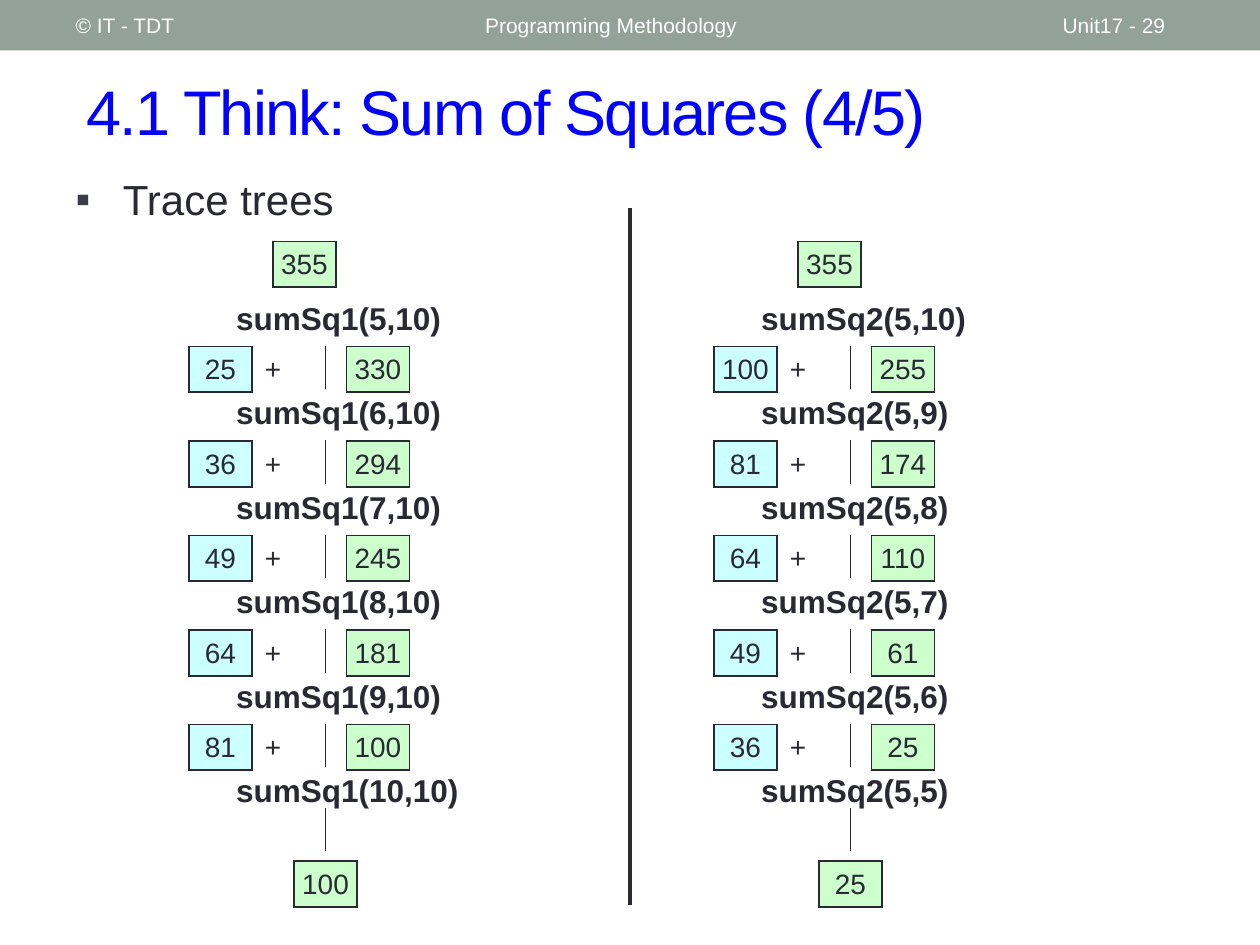
from lxml import etree
from pptx import Presentation
from pptx.dml.color import RGBColor
from pptx.enum.shapes import MSO_CONNECTOR, MSO_SHAPE
from pptx.enum.text import MSO_ANCHOR, PP_ALIGN
from pptx.oxml.ns import qn
from pptx.util import Inches, Pt

LINE, RECT = MSO_CONNECTOR.STRAIGHT, MSO_SHAPE.RECTANGLE
TOP, MID = MSO_ANCHOR.TOP, MSO_ANCHOR.MIDDLE
LEFT, MIDDLE = PP_ALIGN.LEFT, PP_ALIGN.CENTER

UNIT = 1 / 12  # the grid has 120 columns and 90 rows
STEP = 9       # rows from one call to the next
INK, GREEN, CYAN = "292934", "CCFFCC", "CCFFFF"
TIGHT, WIDE = (0.5, 0.5), (1.2, 0.6)  # text insets: across, down


def grid(count):
    """Turn columns or rows into a length."""
    return Inches(count * UNIT)


def paint(target, color):
    """Give a fill a solid colour."""
    target.solid()
    target.fore_color.rgb = RGBColor.from_string(color)


def stroke(shape, width):
    """Give a shape or connector an ink line with sharp ends and corners."""
    paint(shape.line.fill, INK)
    shape.line.width = Pt(width)
    pen = shape._element.spPr.find(qn("a:ln"))
    pen.set("cap", "sq")
    etree.SubElement(pen, qn("a:miter"), lim="800000")


def write(shape, text, size, color=INK, align=LEFT, anchor=TOP, inset=TIGHT, bold=False):
    """Set one styled line of text and return its paragraph."""
    frame = shape.text_frame
    frame.word_wrap = True
    frame.vertical_anchor = anchor
    frame.margin_left = frame.margin_right = grid(inset[0])
    frame.margin_top = frame.margin_bottom = grid(inset[1])
    line = frame.paragraphs[0]
    line.text, line.alignment = text, align
    font = line.font
    font.name, font.size, font.bold = "Arial", Pt(size), bold
    font.color.rgb = RGBColor.from_string(color)
    return line


def label(slide, box, text, size, **style):
    """Place a text box on the grid."""
    shape = slide.shapes.add_textbox(*map(grid, box))
    return write(shape, text, size, **style)


def block(slide, box, fill):
    """Place a flat rectangle without a line on the grid."""
    shape = slide.shapes.add_shape(RECT, *map(grid, box))
    shape.shadow.inherit = False
    paint(shape.fill, fill)
    shape.line.fill.background()
    return shape


def value(slide, left, top, text, fill):
    """Place a boxed number."""
    shape = block(slide, (left, top, 6, 4.35), fill)
    stroke(shape, 1)
    write(shape, text, 16, align=MIDDLE)


def rule(slide, left, top, height, width=1):
    """Draw a vertical line down from a grid point."""
    line = slide.shapes.add_connector(
        LINE, grid(left), grid(top), grid(left), grid(top + height))
    stroke(line, width)
    etree.SubElement(line._element.spPr, qn("a:effectLst"))


def header(slide, width, height):
    """Draw the top band and its three captions."""
    block(slide, (0, 0, width, height), "93A299")
    for left, span, text in ((6, 38, "© IT - TDT"),
                             (45, 54, "Programming Methodology"),
                             (100, 14, "Unit17 - 29")):
        label(slide, (left, 0.25, span, height - 0.5), text, 12,
              color="FFFFFF", anchor=MID, inset=WIDE)


def heading(slide, left, top):
    """Place the title and the bullet line under it."""
    title = label(slide, (left + 1, top, 110, 11), "4.1 Think: Sum of Squares (4/5)",
                  36, color="0000FF", anchor=MID, inset=WIDE)
    title.runs[0].font._element.set("spc", "-100")
    topic = label(slide, (left, top + 10.95, 33, 7), "Trace trees", 24, inset=WIDE)
    topic.space_before = Pt(12)
    props = topic._p.get_or_add_pPr()
    props.set("marL", str(grid(4.5)))
    props.set("indent", str(-grid(4.5)))
    tint = etree.SubElement(props, qn("a:buClr"))
    etree.SubElement(tint, qn("a:srgbClr"), val="3B3B4B")
    etree.SubElement(props, qn("a:buFont"), typeface="Arial")
    etree.SubElement(props, qn("a:buChar"), char="▪")


def trace(slide, left, top, name, spans, terms, sums):
    """Draw one trace tree: calls going down, results beside them."""
    value(slide, left + 8, top, sums[0], GREEN)
    for step, span in enumerate(spans):
        label(slide, (left + 4, top + 4.95 + step * STEP, 29, 4.5),
              f"{name}({span})", 18, bold=True)
    for step, (term, total) in enumerate(zip(terms, sums[1:])):
        row = top + 10 + step * STEP
        value(slide, left, row, term, CYAN)
        label(slide, (left + 5, row, 6, 4.25), "+", 16, align=MIDDLE)
        rule(slide, left + 13, row, 4)
        value(slide, left + 15, row, total, GREEN)
    end = top + len(spans) * STEP
    rule(slide, left + 13, end, 4)
    value(slide, left + 10, end + 5, sums[-1], GREEN)


deck = Presentation()
deck.slide_width, deck.slide_height = grid(120), grid(90)
page = deck.slides.add_slide(deck.slide_layouts[6])
header(page, 120, 4.8)
heading(page, 6, 5)
trace(page, 18, 23, "sumSq1", [f"{low},10" for low in range(5, 11)],
      ["25", "36", "49", "64", "81"], ["355", "330", "294", "245", "181", "100"])
trace(page, 68, 23, "sumSq2", [f"5,{high}" for high in range(10, 4, -1)],
      ["100", "81", "64", "49", "36"], ["355", "255", "174", "110", "61", "25"])
rule(page, 60, 20, 66, 2.5)
deck.save("out.pptx")
